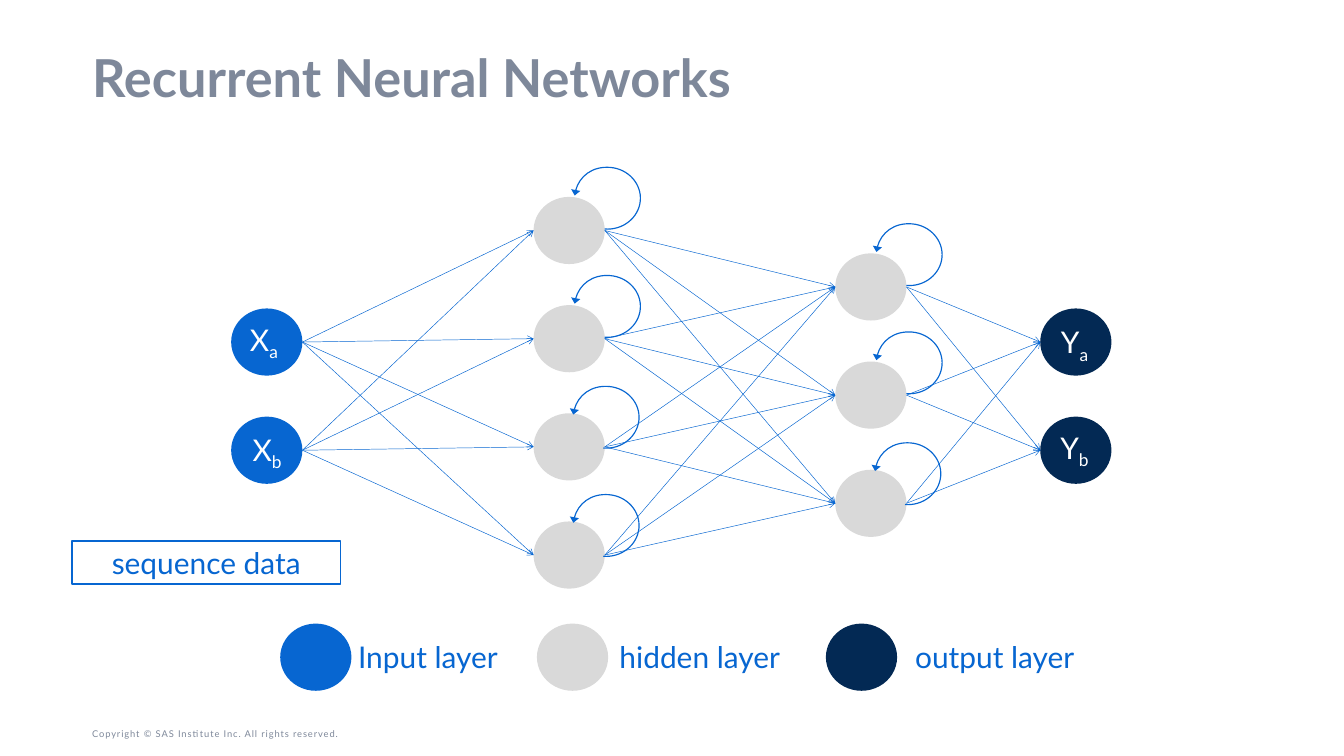
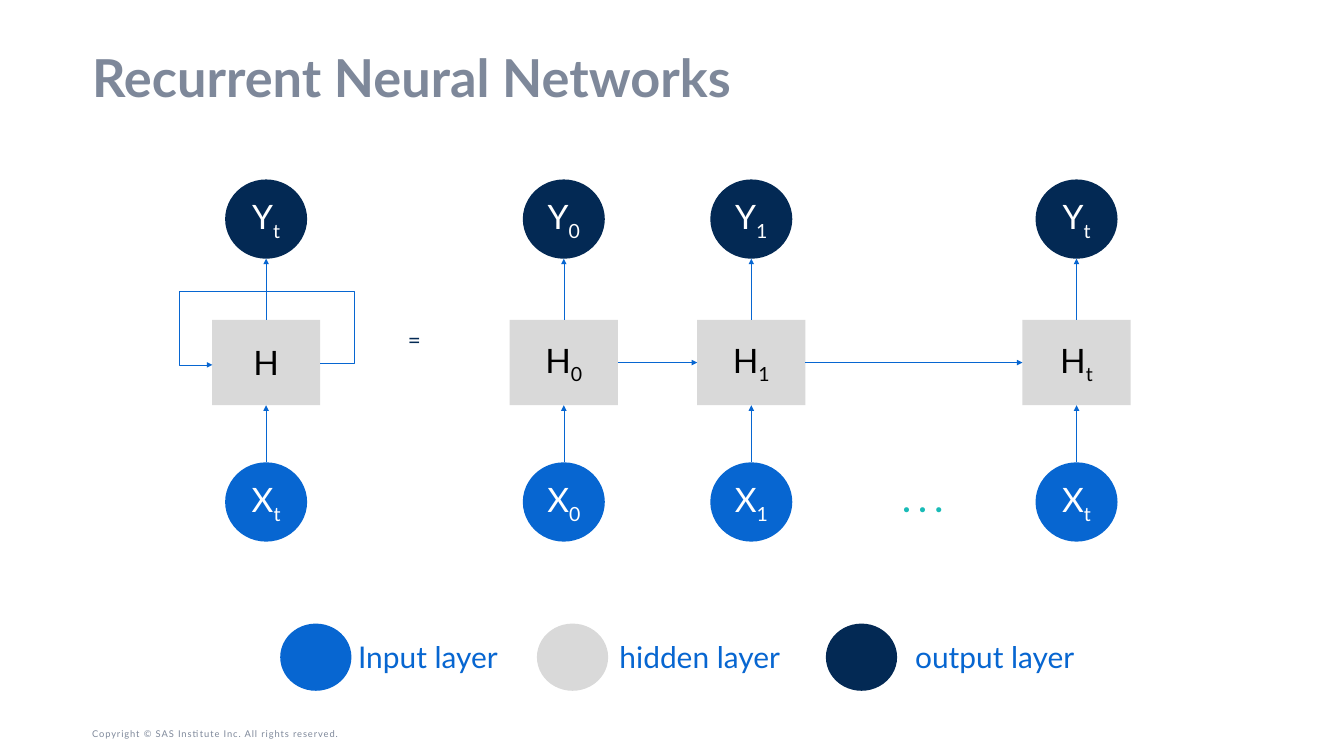
import math
from dataclasses import dataclass
from itertools import pairwise, product

from pptx import Presentation
from pptx import util as u
from pptx.dml.color import RGBColor
from pptx.enum import shapes, text
from pptx.oxml.ns import qn
from pptx.oxml.xmlchemy import OxmlElement


@dataclass(frozen=True)
class Theme:
    font: str = "Lato"
    blue: str = "0766D1"
    navy: str = "032954"
    gray: str = "D9D9D9"
    slate: str = "7E889A"
    teal: str = "19BBB7"
    white: str = "FFFFFF"
    black: str = "000000"
    title_size: int = 56
    symbol_size: int = 36
    label_size: int = 32
    equals_size: int = 24
    copyright_size: int = 10
    thin: float = 0.5
    loop_width: float = 1.25
    frame_width: float = 1.5


THEME = Theme()
TITLE = "Recurrent Neural Networks"
COPYRIGHT = "Copyright © SAS Institute Inc. All rights reserved."
OVAL = shapes.MSO_SHAPE.OVAL
RECTANGLE = shapes.MSO_SHAPE.RECTANGLE

# The slide is a grid of one-inch columns and rows
COLUMNS, ROWS = 20, 11.25
NODE_W, NODE_H = 1.06, 1
NODE_PITCH = 1.61
# Distances from a node's corner to its symbol or to its loop's center
SYMBOL_OFFSETS = {"Xa": (0.18, 0.14), "Xb": (0.22, 0.17),
                  "Ya": (0.21, 0.18), "Yb": (0.2, 0.14)}
LOOP_OFFSETS = ((1.1, 0.02), (1.1, 0.02), (1.08, 0.06), (1.08, 0.06))


def grid(*cells):
    return [u.Inches(cell) for cell in cells]


def rgb(color):
    return RGBColor.from_string(color)


# Text
def add_run(paragraph, words, size, color, bold=False, subscript=False):
    run = paragraph.add_run()
    run.text = words
    run.font.name = THEME.font
    run.font.size = u.Pt(size)
    run.font.bold = bold
    run.font.color.rgb = rgb(color)
    if subscript:
        run.font._element.set("baseline", "-25000")
    return run


def add_symbol(paragraph, symbol, size, color):
    """Write the first letter, then the rest as a subscript."""
    add_run(paragraph, symbol[0], size, color)
    if symbol[1:]:
        add_run(paragraph, symbol[1:], size, color, subscript=True)


def add_text_box(slide, box, wrap=True):
    frame = slide.shapes.add_textbox(*grid(*box)).text_frame
    frame.word_wrap = wrap
    frame.auto_size = text.MSO_AUTO_SIZE.SHAPE_TO_FIT_TEXT
    return frame


def add_label(slide, words, box, size=THEME.label_size, color=THEME.blue,
              bold=False, align=text.PP_ALIGN.LEFT):
    paragraph = add_text_box(slide, box).paragraphs[0]
    paragraph.alignment = align
    add_run(paragraph, words, size, color, bold)


# Shapes and lines
def add_block(slide, kind, box, fill, symbol="", ink=THEME.white):
    block = slide.shapes.add_shape(kind, *grid(*box))
    block.shadow.inherit = False
    block.line.fill.background()
    block.fill.solid()
    block.fill.fore_color.rgb = rgb(fill)
    if symbol:
        frame = block.text_frame
        frame.margin_top = frame.margin_bottom = u.Inches(0.1)
        frame.vertical_anchor = text.MSO_ANCHOR.MIDDLE
        frame.paragraphs[0].alignment = text.PP_ALIGN.CENTER
        add_symbol(frame.paragraphs[0], symbol, THEME.symbol_size, ink)
    return block


def set_line(outline, width):
    outline.line.color.rgb = rgb(THEME.blue)
    outline.line.width = u.Pt(width)


def add_arrowhead(outline, end, kind, width="med"):
    head = OxmlElement(f"a:{end}")
    head.set("type", kind)
    head.set("w", width)
    outline.get_or_add_ln().append(head)


def add_arrow(slide, start, end, head="triangle", source=None, target=None,
              route=shapes.MSO_CONNECTOR.STRAIGHT):
    """Draw an arrow; source and target are (rectangle, side) pairs."""
    arrow = slide.shapes.add_connector(route, *grid(*start, *end))
    if source:
        arrow.begin_connect(*source)
    if target:
        arrow.end_connect(*target)
    set_line(arrow, THEME.thin)
    add_arrowhead(arrow, "tailEnd", head)
    arrow.element.spPr.append(OxmlElement("a:effectLst"))
    return arrow


def quarter_arc(center_x, center_y, degrees):
    """Return the four Bezier points of a quarter turn of the loop."""
    radius_x, radius_y, pull = 0.49, 0.46, 0.55

    def point(angle, along):
        cos, sin = math.cos(math.radians(angle)), math.sin(math.radians(angle))
        return grid(center_x + radius_x * (cos - along * sin),
                    center_y + radius_y * (sin + along * cos))

    return [point(degrees, 0), point(degrees, pull),
            point(degrees + 90, -pull), point(degrees + 90, 0)]


def add_self_loop(slide, center_x, center_y):
    """Curl an arrow from a node's right side back to its top."""
    arcs = [quarter_arc(center_x, center_y, start) for start in (185, 275, 365)]
    builder = slide.shapes.build_freeform(*arcs[0][0])
    for arc in arcs:
        builder.add_line_segments(arc[1:], close=False)
    loop = builder.convert_to_shape()

    # Turn each three straight segments into one curve
    segments = list(loop.element.iter(qn("a:lnTo")))
    for first in range(0, len(segments), 3):
        curve = OxmlElement("a:cubicBezTo")
        segments[first].addprevious(curve)
        for segment in segments[first:first + 3]:
            curve.append(segment[0])
            segment.getparent().remove(segment)

    loop.shadow.inherit = False
    loop.fill.background()
    set_line(loop, THEME.loop_width)
    add_arrowhead(loop, "headEnd", "triangle", width="lg")


def add_feedback(slide, start, end):
    """Lead an elbow arrow over a block, from its right to its left."""
    feedback = add_arrow(slide, start, end, route=shapes.MSO_CONNECTOR.ELBOW)
    geometry = feedback.element.spPr.find(qn("a:prstGeom"))
    geometry.set("prst", "bentConnector5")
    bends = geometry.find(qn("a:avLst"))
    for number, bend in enumerate((-30800, -3566700, 130800), 1):
        guide = OxmlElement("a:gd")
        guide.set("name", f"adj{number}")
        guide.set("fmla", f"val {bend}")
        bends.append(guide)


# Parts that both slides share
def add_copyright(slide, layout):
    """Set the copyright line and hand it to the layout."""
    frame = add_text_box(slide, (1.37, 10.78, 5.5, 0.27))
    frame.margin_left = 0
    frame.vertical_anchor = text.MSO_ANCHOR.BOTTOM
    run = add_run(frame.paragraphs[0], COPYRIGHT, THEME.copyright_size, THEME.slate)
    run.font._element.set("spc", "100")
    layout.shapes.element.append(slide.shapes[-1].element)


def add_titled_slide(prs, layout):
    slide = prs.slides.add_slide(layout)
    title = slide.shapes.title
    title.left, title.top, title.width, title.height = grid(1.37, 0.78, 17.25, 0.85)
    frame = title.text_frame
    frame.margin_left = frame.margin_right = 0
    frame.margin_top = frame.margin_bottom = 0
    frame.word_wrap = True
    frame.auto_size = text.MSO_AUTO_SIZE.NONE
    frame.vertical_anchor = text.MSO_ANCHOR.MIDDLE
    paragraph = frame.paragraphs[0]
    paragraph.alignment = text.PP_ALIGN.LEFT
    paragraph.line_spacing = 0.9
    add_run(paragraph, TITLE, THEME.title_size, THEME.slate, bold=True)
    return slide


def add_legend(slide):
    markers = ((4.17, THEME.blue), (7.99, THEME.gray), (12.29, THEME.navy))
    labels = (("Input layer", 5.23, 2.71), ("hidden layer", 9.12, 3.17),
              ("output layer", 13.52, 3))
    for left, color in markers:
        add_block(slide, OVAL, (left, 9.28, NODE_W, NODE_H), color)
    for words, left, width in labels:
        add_label(slide, words, (left, 9.46, width, 0.64))


# Slide 1: layered network
def add_network(slide):
    layers = (  # left, top of first node, nodes, color, letter
        (3.44, 4.59, 2, THEME.blue, "X"),
        (7.94, 2.93, 4, THEME.gray, ""),
        (12.43, 3.77, 3, THEME.gray, ""),
        (15.48, 4.59, 2, THEME.navy, "Y"),
    )
    columns = [[(left, top + NODE_PITCH * row) for row in range(count)]
               for left, top, count, _, _ in layers]

    for nodes, (_, _, _, color, _) in zip(columns, layers):
        for node in nodes:
            add_block(slide, OVAL, (*node, NODE_W, NODE_H), color)

    for senders, receivers in pairwise(columns):
        for (x, y), (to_x, to_y) in product(senders, receivers):
            add_arrow(slide, (x + NODE_W, y + NODE_H / 2),
                      (to_x, to_y + NODE_H / 2), head="arrow")

    for nodes, (_, _, _, _, letter) in zip(columns, layers):
        for (x, y), index, loop_offset in zip(nodes, "abcd", LOOP_OFFSETS):
            dx, dy = SYMBOL_OFFSETS.get(letter + index, loop_offset)
            if letter:
                frame = add_text_box(slide, (x + dx, y + dy, 0.7, 0.61), wrap=False)
                add_symbol(frame.paragraphs[0], letter + index,
                           THEME.label_size, THEME.white)
            else:
                add_self_loop(slide, x + dx, y + dy)


def add_sequence_frame(slide):
    add_label(slide, "sequence data", (1.07, 8.05, 4, 0.64),
              align=text.PP_ALIGN.CENTER)
    set_line(slide.shapes[-1], THEME.frame_width)


# Slide 2: the network unrolled over time
def add_time_step(slide, center, state, index):
    """Stack input, hidden state and output; return the hidden block."""
    oval_w, oval_h, state_w, state_h = 1.22, 1.18, 1.61, 1.27
    input_top, state_top, output_top = 6.88, 4.76, 2.67
    oval_left = center - oval_w / 2
    add_block(slide, OVAL, (oval_left, input_top, oval_w, oval_h),
              THEME.blue, "X" + index)
    add_block(slide, OVAL, (oval_left, output_top, oval_w, oval_h),
              THEME.navy, "Y" + index)
    hidden = add_block(slide, RECTANGLE,
                       (center - state_w / 2, state_top, state_w, state_h),
                       THEME.gray, state, THEME.black)
    add_arrow(slide, (center, input_top), (center, state_top + state_h),
              target=(hidden, 2))
    add_arrow(slide, (center, state_top), (center, output_top + oval_h),
              source=(hidden, 0))
    return hidden


def add_unrolled_network(slide):
    add_time_step(slide, 3.96, "H", "t")
    add_feedback(slide, (4.77, 5.4), (3.16, 5.43))

    steps = [add_time_step(slide, center, "H" + index, index)
             for center, index in ((8.39, "0"), (11.18, "1"), (16.02, "t"))]
    for earlier, later in pairwise(steps):
        add_arrow(slide, (0, 0), (1, 0), source=(earlier, 3), target=(later, 1))
    add_label(slide, ". . .", (13.17, 7.08, 1.12, 0.71), THEME.symbol_size,
              THEME.teal, bold=True, align=text.PP_ALIGN.CENTER)
    add_label(slide, "=", (5.97, 4.8, 0.84, 0.5), THEME.equals_size, THEME.navy)


def main():
    prs = Presentation()
    prs.slide_width, prs.slide_height = grid(COLUMNS, ROWS)
    layout = prs.slide_layouts.get_by_name("Title Only")
    for placeholder in list(layout.placeholders)[1:]:
        layout.shapes.element.remove(placeholder.element)

    layered = add_titled_slide(prs, layout)
    add_copyright(layered, layout)
    add_network(layered)
    add_sequence_frame(layered)
    add_legend(layered)

    unrolled = add_titled_slide(prs, layout)
    add_legend(unrolled)
    add_unrolled_network(unrolled)

    prs.save("out.pptx")


if __name__ == "__main__":
    main()
